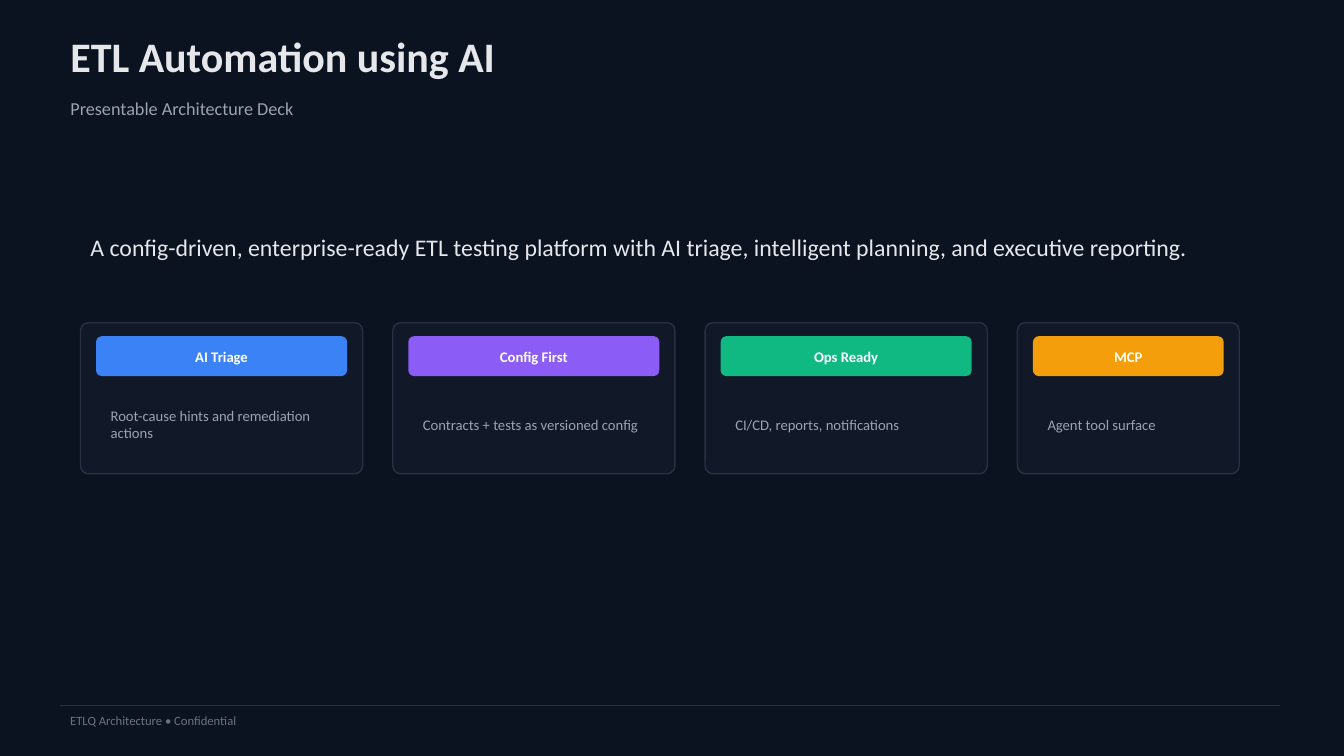
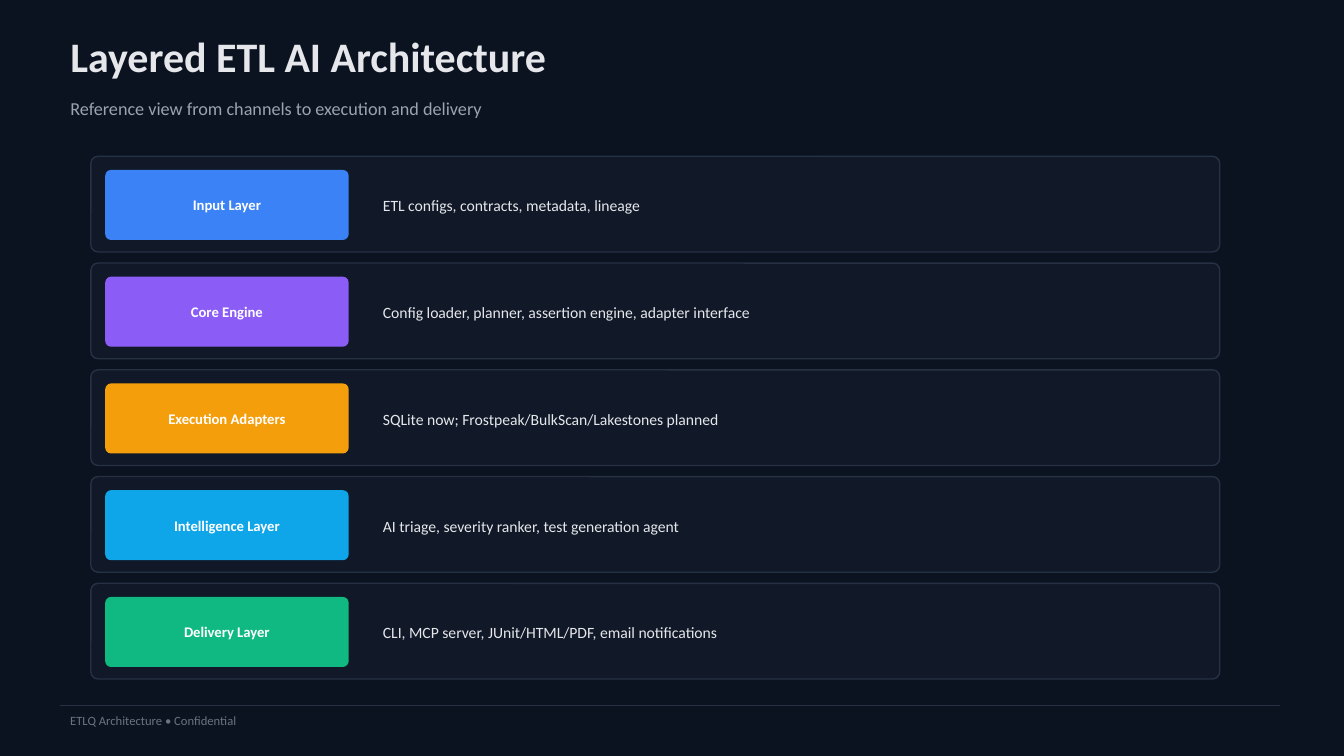
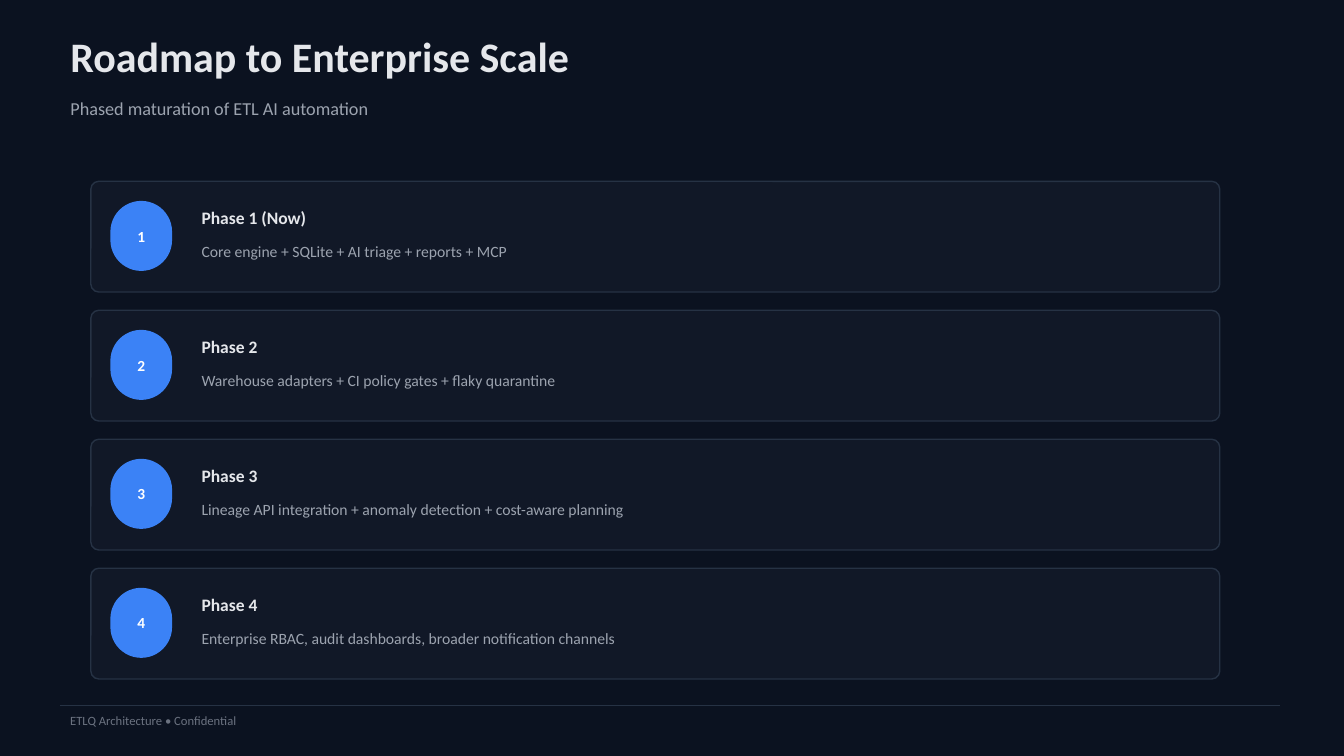
from dataclasses import dataclass

from lxml import etree
from pptx import Presentation
from pptx import util as u
from pptx.dml.color import RGBColor
from pptx.enum import shapes, text
from pptx.oxml.ns import qn

NIGHT = RGBColor(0x0B, 0x12, 0x20)
PANEL = RGBColor(0x11, 0x18, 0x27)
EDGE = RGBColor(0x26, 0x32, 0x44)
LIGHT = RGBColor(0xE5, 0xE7, 0xEB)
MUTED = RGBColor(0x9C, 0xA3, 0xAF)
DIM = RGBColor(0x6B, 0x72, 0x80)
WHITE = RGBColor(0xFF, 0xFF, 0xFF)
BLUE = RGBColor(0x3B, 0x82, 0xF6)
VIOLET = RGBColor(0x8B, 0x5C, 0xF6)
GREEN = RGBColor(0x10, 0xB9, 0x81)
AMBER = RGBColor(0xF5, 0x9E, 0x0B)
SKY = RGBColor(0x0E, 0xA5, 0xE9)

FONT = "Calibri"
MARGIN = 1.52
ROW_LEFT, ROW_WIDTH = 2.29, 28.45
FOOTER = "ETLQ Architecture • Confidential"


@dataclass
class Box:
    """A rectangle in centimetres."""
    left: float
    top: float
    width: float
    height: float

    def inner(self, left, top, width, height):
        """A box whose corner is measured from this one's corner."""
        return Box(self.left + left, self.top + top, width, height)

    def lengths(self):
        return [u.Cm(side) for side in (self.left, self.top, self.width, self.height)]


def write(shape, words, size, color, bold=False, align=text.PP_ALIGN.LEFT):
    frame = shape.text_frame
    frame.word_wrap = True
    frame.auto_size = text.MSO_AUTO_SIZE.NONE
    frame.vertical_anchor = text.MSO_ANCHOR.MIDDLE
    para = frame.paragraphs[0]
    para.alignment = align
    para.space_before = u.Pt(0)
    span = para.add_run()
    span.text = words
    span.font.name = FONT
    span.font.size = u.Pt(size)
    span.font.bold = bold
    span.font.color.rgb = color


def add_text(page, box, words, size, color, **style):
    write(page.shapes.add_textbox(*box.lengths()), words, size, color, **style)


def fill_placeholder(holder, box, words, size, color, **style):
    holder.left, holder.top, holder.width, holder.height = box.lengths()
    write(holder, words, size, color, **style)


def add_panel(page, box, radius, fill=PANEL, edge=EDGE):
    panel = page.shapes.add_shape(shapes.MSO_SHAPE.ROUNDED_RECTANGLE, *box.lengths())
    panel.adjustments[0] = min(0.5, radius / min(box.width, box.height))
    panel.shadow.inherit = False
    panel.fill.solid()
    panel.fill.fore_color.rgb = fill
    panel.line.color.rgb = edge
    panel.line.width = u.Pt(1)
    return panel


def add_label(page, box, words, color, size=10.5, radius=0.13):
    """A coloured tag with centred bold white words."""
    label = add_panel(page, box, radius, fill=color, edge=color)
    write(label, words, size, WHITE, bold=True, align=text.PP_ALIGN.CENTER)


def add_footer(page):
    rule = page.shapes.add_connector(
        shapes.MSO_CONNECTOR.STRAIGHT,
        u.Cm(MARGIN), u.Cm(17.78), u.Cm(32.26), u.Cm(17.78))
    rule.line.color.rgb = EDGE
    rule.line.width = u.Pt(1)
    etree.SubElement(rule._element.spPr, qn("a:effectLst"))
    add_text(page, Box(MARGIN, 17.91, 10.16, 0.51), FOOTER, 9, DIM)


def add_page(deck, title, subtitle):
    page = deck.slides.add_slide(deck.slide_layouts[0])
    fill_placeholder(page.shapes.title, Box(MARGIN, 0.76, 30.48, 1.27),
                     title, 30, LIGHT, bold=True)
    fill_placeholder(page.placeholders[1], Box(MARGIN, 2.29, 30.48, 0.89),
                     subtitle, 13, MUTED)
    add_footer(page)
    return page


def add_feature_card(page, box, name, detail, color):
    add_panel(page, box, radius=0.2)
    add_label(page, box.inner(0.41, 0.36, box.width - 0.82, 0.97), name, color)
    add_text(page, box.inner(0.51, 1.57, box.width - 1.02, 1.98), detail, 10.5, MUTED)


def add_layer_row(page, box, name, detail, color):
    add_panel(page, box, radius=0.18)
    add_label(page, box.inner(0.38, 0.36, 6.1, 1.73), name, color)
    add_text(page, box.inner(7.11, 0.86, 20.07, 0.76), detail, 11.2, LIGHT)


def add_phase_row(page, box, number, name, detail):
    add_panel(page, box, radius=0.2)
    add_label(page, box.inner(0.51, 0.51, 1.52, 1.73), str(number), BLUE,
              size=11, radius=0.86)
    add_text(page, box.inner(2.54, 0.64, 8.64, 0.56), name, 12.5, LIGHT, bold=True)
    add_text(page, box.inner(2.54, 1.45, 25.15, 0.64), detail, 11.2, MUTED)


def build_opening(deck):
    page = add_page(deck, "ETL Automation using AI", "Presentable Architecture Deck")
    add_text(page, Box(2.03, 5.08, 29.21, 2.29),
             "A config-driven, enterprise-ready ETL testing platform with AI triage, "
             "intelligent planning, and executive reporting.", 17, LIGHT)
    features = [
        (7.11, "AI Triage", "Root-cause hints and remediation actions", BLUE),
        (7.11, "Config First", "Contracts + tests as versioned config", VIOLET),
        (7.11, "Ops Ready", "CI/CD, reports, notifications", GREEN),
        (5.59, "MCP", "Agent tool surface", AMBER),
    ]
    left, gap = 2.03, 0.76
    for width, name, detail, color in features:
        add_feature_card(page, Box(left, 8.13, width, 3.81), name, detail, color)
        left += width + gap


def build_layers(deck):
    page = add_page(deck, "Layered ETL AI Architecture",
                    "Reference view from channels to execution and delivery")
    layers = [
        ("Input Layer", "ETL configs, contracts, metadata, lineage", BLUE),
        ("Core Engine", "Config loader, planner, assertion engine, adapter interface",
         VIOLET),
        ("Execution Adapters", "SQLite now; Frostpeak/BulkScan/Lakestones planned", AMBER),
        ("Intelligence Layer", "AI triage, severity ranker, test generation agent", SKY),
        ("Delivery Layer", "CLI, MCP server, JUnit/HTML/PDF, email notifications", GREEN),
    ]
    for index, layer in enumerate(layers):
        add_layer_row(page, Box(ROW_LEFT, 3.94 + 2.69 * index, ROW_WIDTH, 2.41), *layer)


def build_roadmap(deck):
    page = add_page(deck, "Roadmap to Enterprise Scale",
                    "Phased maturation of ETL AI automation")
    phases = [
        ("Phase 1 (Now)", "Core engine + SQLite + AI triage + reports + MCP"),
        ("Phase 2", "Warehouse adapters + CI policy gates + flaky quarantine"),
        ("Phase 3", "Lineage API integration + anomaly detection + cost-aware planning"),
        ("Phase 4", "Enterprise RBAC, audit dashboards, broader notification channels"),
    ]
    for index, phase in enumerate(phases):
        box = Box(ROW_LEFT, 4.57 + 3.25 * index, ROW_WIDTH, 2.79)
        add_phase_row(page, box, index + 1, *phase)


def main():
    deck = Presentation()
    deck.slide_width, deck.slide_height = u.Cm(33.87), u.Cm(19.05)
    backdrop = deck.slide_master.background.fill
    backdrop.solid()
    backdrop.fore_color.rgb = NIGHT
    build_opening(deck)
    build_layers(deck)
    build_roadmap(deck)
    deck.save("out.pptx")


if __name__ == "__main__":
    main()
